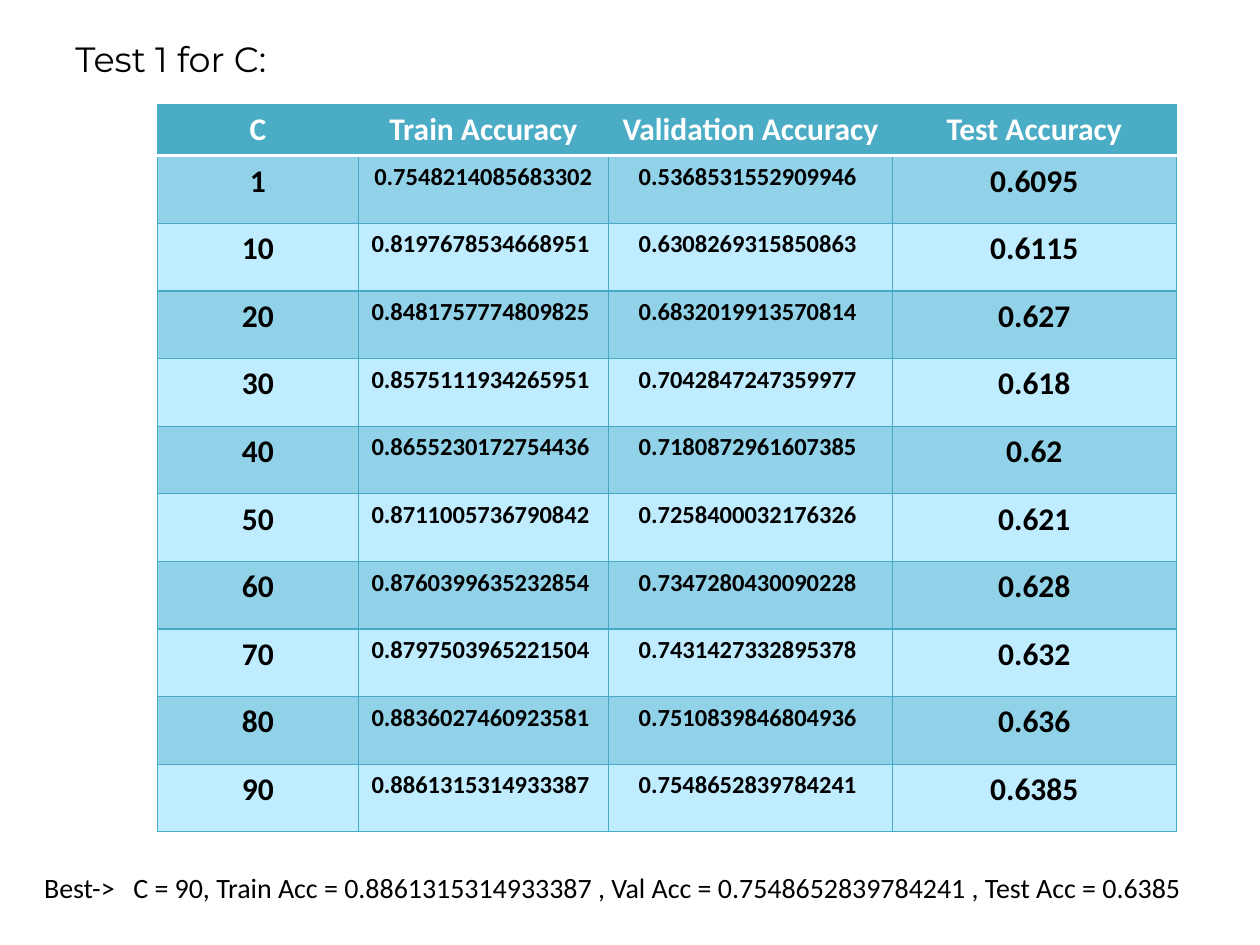
from dataclasses import dataclass

from lxml.etree import SubElement
from pptx import Presentation
from pptx.dml.color import RGBColor as Rgb
from pptx.enum.text import MSO_AUTO_SIZE as AutoSize, PP_ALIGN as Align
from pptx.oxml import parse_xml
from pptx.oxml.ns import nsdecls, qn
from pptx.util import Cm, Pt


@dataclass(frozen=True)
class Theme:
    body_font: str = "Calibri"
    title_font: str = "Montserrat"
    title_size: int = 20
    label_size: int = 18
    summary_size: int = 16
    decimal_size: int = 14
    text: str = "000000"
    header_text: str = "FFFFFF"
    header_fill: str = "4BACC6"
    odd_fill: str = "91D2E8"
    even_fill: str = "BFECFF"
    grid: str = "46AAC5"
    header_rule: str = "FFFFFF"
    grid_width: float = 0.75
    header_rule_width: float = 2


THEME = Theme()
COLUMN_WIDTHS = (4.04, 5.05, 5.72, 5.72)
HEADER_HEIGHT, RESULT_HEIGHT = 1.0, 1.363
HEADINGS = ("C", "Train Accuracy", "Validation Accuracy", "Test Accuracy")
RESULTS = (
    ("1", "0.7548214085683302", "0.5368531552909946 ", "0.6095"),
    ("10", "0.8197678534668951 ", "0.6308269315850863 ", "0.6115"),
    ("20", "0.8481757774809825 ", "0.6832019913570814 ", "0.627"),
    ("30", "0.8575111934265951 ", "0.7042847247359977 ", "0.618"),
    ("40", "0.8655230172754436 ", "0.7180872961607385 ", "0.62"),
    ("50", "0.8711005736790842 ", "0.7258400032176326 ", "0.621"),
    ("60", "0.8760399635232854 ", "0.7347280430090228 ", "0.628"),
    ("70", "0.8797503965221504 ", "0.7431427332895378 ", "0.632"),
    ("80", "0.8836027460923581 ", "0.7510839846804936 ", "0.636"),
    ("90", "0.8861315314933387 ", "0.7548652839784241 ", "0.6385"),
)
SUMMARY = (
    "Best->\tC = 90, Train Acc = 0.8861315314933387 , "
    "Val Acc = 0.7548652839784241 , Test Acc = 0.6385"
)


def write(paragraph, wording, color, **formats):
    run = paragraph.add_run()
    run.text = wording
    run.font.color.rgb = Rgb.from_string(color)
    for key, value in formats.items():
        setattr(run.font, key, value)


def add_caption(slide, wording, position, **formats):
    frame = slide.shapes.add_textbox(*map(Cm, position)).text_frame
    layout = {"word_wrap": True, "auto_size": AutoSize.SHAPE_TO_FIT_TEXT}
    for key, value in layout.items():
        setattr(frame, key, value)
    paragraph = frame.paragraphs[0]
    write(paragraph, wording, THEME.text, **formats)
    return paragraph


def add_tab_stop(paragraph, position):
    properties = paragraph._p.get_or_add_pPr()
    stops = SubElement(properties, qn("a:tabLst"))
    SubElement(stops, qn("a:tab"), pos=str(Cm(position)), algn="l")


def set_borders(cell, row):
    grid = (THEME.grid, THEME.grid_width)
    rule = (THEME.header_rule, THEME.header_rule_width)
    borders = {
        "L": grid,
        "R": grid,
        "T": rule if row == 1 else grid,
        "B": rule if row == 0 else grid,
    }
    properties = cell._tc.get_or_add_tcPr()
    for index, (side, (color, width)) in enumerate(borders.items()):
        properties.insert(index, parse_xml(
            f'<a:ln{side} {nsdecls("a")} w="{Pt(width)}"><a:solidFill>'
            f'<a:srgbClr val="{color}"/></a:solidFill></a:ln{side}>'
        ))


def fill_cell(cell, wording, row, column):
    is_header = row == 0
    is_decimal = not is_header and column in (1, 2)
    band = THEME.odd_fill if row % 2 else THEME.even_fill
    cell.fill.solid()
    cell.fill.fore_color.rgb = Rgb.from_string(
        THEME.header_fill if is_header else band
    )
    set_borders(cell, row)
    paragraph = cell.text_frame.paragraphs[0]
    paragraph.alignment = Align.CENTER
    write(
        paragraph,
        wording,
        THEME.header_text if is_header else THEME.text,
        name=THEME.body_font,
        size=Pt(THEME.decimal_size if is_decimal else THEME.label_size),
        bold=True,
    )


def add_accuracy_table(slide, left, top):
    entries = (HEADINGS, *RESULTS)
    heights = (HEADER_HEIGHT, *[RESULT_HEIGHT] * len(RESULTS))
    table = slide.shapes.add_table(
        len(entries), len(HEADINGS), Cm(left), Cm(top),
        Cm(sum(COLUMN_WIDTHS)), Cm(sum(heights)),
    ).table
    for column, width in zip(table.columns, COLUMN_WIDTHS):
        column.width = Cm(width)
    for row, (entry, height) in enumerate(zip(entries, heights)):
        table.rows[row].height = Cm(height)
        for column, wording in enumerate(entry):
            fill_cell(table.cell(row, column), wording, row, column)


def main():
    deck = Presentation()
    deck.slide_width, deck.slide_height = Cm(25.4), Cm(19.05)
    slide = deck.slides.add_slide(deck.slide_layouts[6])
    add_accuracy_table(slide, 3.18, 2.11)
    add_caption(
        slide, "Test 1 for C:", (1.27, 0.64, 7.19, 1.11),
        name=THEME.title_font, size=Pt(THEME.title_size),
    )
    summary = add_caption(
        slide, SUMMARY, (0.64, 17.42, 24.13, 0.94),
        name=THEME.body_font, size=Pt(THEME.summary_size),
    )
    add_tab_stop(summary, 1.8)
    deck.save("out.pptx")


main()
